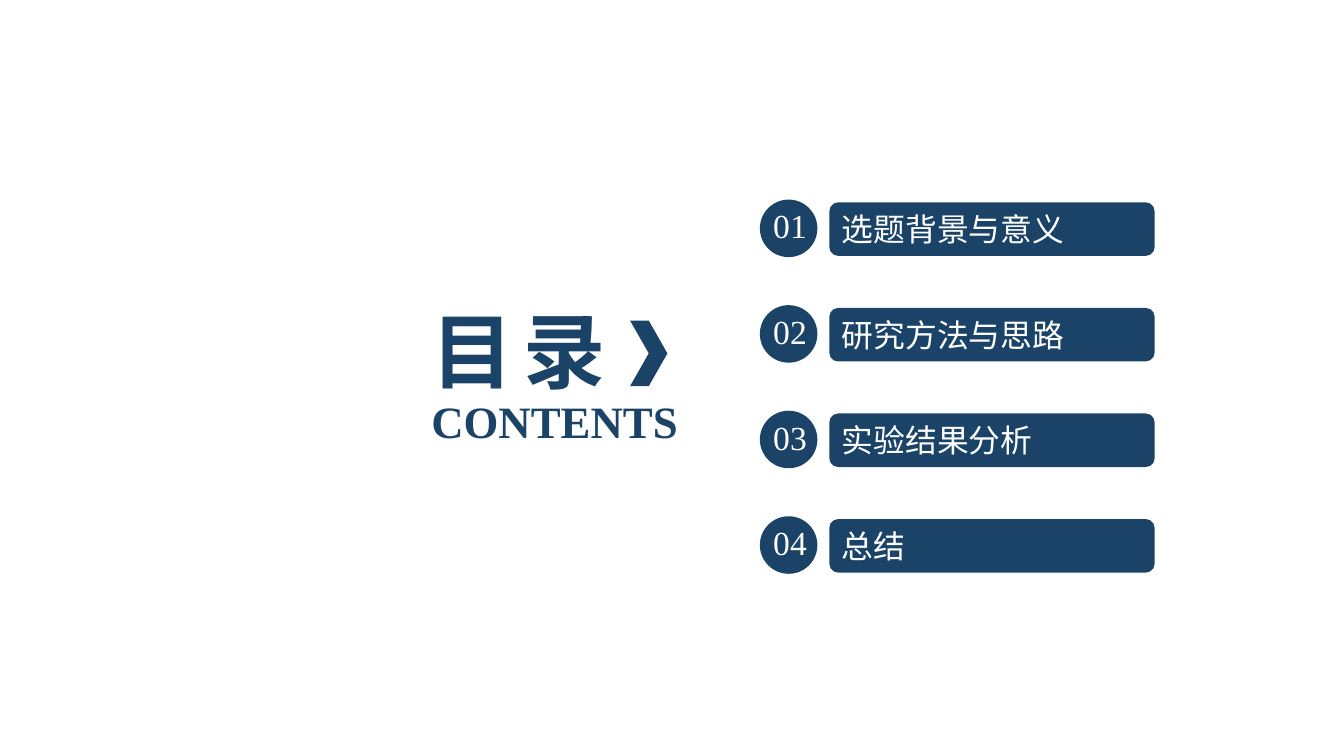
from pptx import Presentation
from pptx import util as u
from pptx.dml.color import RGBColor
from pptx.enum import shapes, text

HUES = {"navy": "1B4367", "white": "FFFFFF"}
KIND = shapes.MSO_SHAPE
TOPICS = ["选题背景与意义", "研究方法与思路", "实验结果分析", "总结"]
TOP = 5.1
PITCH = 2.66


class Deck:
    def __init__(self):
        self.prs = Presentation()
        self.prs.slide_width = u.Cm(33.87)
        self.prs.slide_height = u.Cm(19.05)
        self.slide = self.prs.slides.add_slide(self.prs.slide_layouts[6])
        self.font = "Times New Roman"

    def shape(self, kind, box, home=None):
        home = home or self.slide
        item = home.shapes.add_shape(kind, *map(u.Cm, box))
        item.shadow.inherit = False
        item.fill.solid()
        item.fill.fore_color.rgb = RGBColor.from_string(HUES["navy"])
        item.line.fill.background()
        return item

    def letter(self, item, words, size, hue, bold=False, align="LEFT", space=0):
        frame = item.text_frame
        form = {
            "word_wrap": True,
            "auto_size": text.MSO_AUTO_SIZE.SHAPE_TO_FIT_TEXT,
            "vertical_anchor": text.MSO_ANCHOR.TOP,
        }
        for key, val in form.items():
            setattr(frame, key, val)
        para = frame.paragraphs[0]
        para.alignment = text.PP_ALIGN[align]
        run = para.add_run()
        run.text = words
        for key, val in {"name": self.font, "size": u.Pt(size), "bold": bold}.items():
            setattr(run.font, key, val)
        run.font.color.rgb = RGBColor.from_string(HUES[hue])
        if space:
            run.font._element.set("spc", str(space * 100))

    def label(self, words, box, size, hue, home=None, **form):
        home = home or self.slide
        item = home.shapes.add_textbox(*map(u.Cm, box))
        self.letter(item, words, size, hue, **form)

    def bar(self, words, box):
        self.letter(self.shape(KIND.ROUNDED_RECTANGLE, box), words, 22.7, "white")

    def badge(self, num, top):
        group = self.slide.shapes.add_group_shape()
        self.shape(KIND.OVAL, (19.15, top - 0.07, 1.45, 1.45), group)
        self.label(f"{num:02d}", (19.02, top - 0.05, 1.78, 1.27), 24, "white",
                   group, align="CENTER")


def main():
    deck = Deck()
    deck.label("目 录", (10.62, 7.44, 7.95, 2.77), 58.7, "navy", bold=True, space=-3)
    deck.label("CONTENTS", (10.62, 9.8, 7.82, 1.63), 32, "navy", bold=True)
    deck.shape(KIND.CHEVRON, (15.88, 8.08, 0.94, 1.65))
    for row, topic in enumerate(TOPICS):
        top = TOP + row * PITCH
        deck.bar(topic, (20.9, top, 8.2, 1.35))
        deck.badge(row + 1, top)
    deck.prs.save("out.pptx")


if __name__ == "__main__":
    main()
